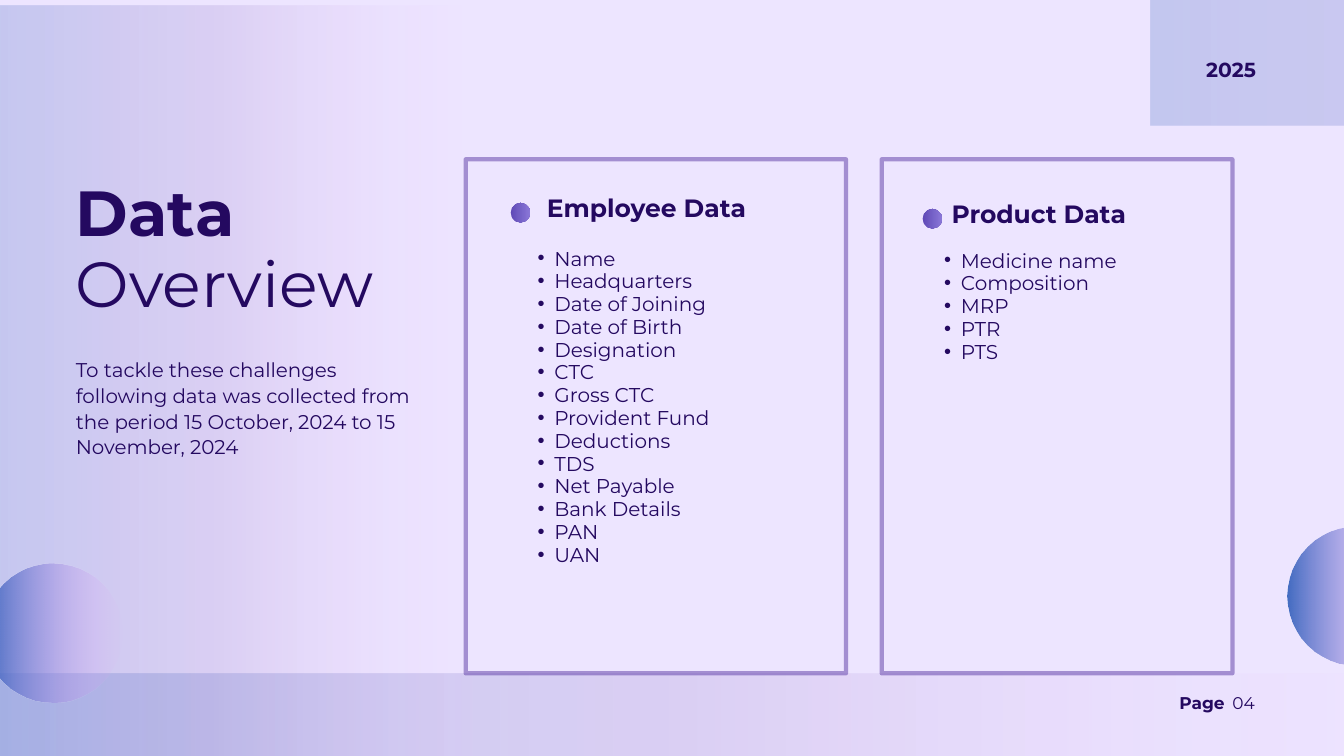
from lxml.etree import SubElement
from pptx import Presentation
from pptx.dml.color import RGBColor
from pptx.enum.shapes import MSO_SHAPE as Shape
from pptx.enum.text import MSO_ANCHOR as Anchor, MSO_AUTO_SIZE as AutoSize, PP_ALIGN as Align
from pptx.oxml.ns import qn
from pptx.util import Inches, Pt

FONT = "Montserrat"
COLORS = {
    "background": "EDE5FF",
    "text": "240960",
    "frame": "6B4CAF",
    "blue": "3C67BF",
    "pink": "F7ACFF",
    "dot_dark": "5B45B5",
    "dot_light": "8875D7",
}
PANEL_STOPS = [(0, "blue", 23), (50, "frame", 13), (100, "pink", 0)]
DOT_STOPS = [(0, "dot_dark", 96), (100, "dot_light", 96)]
BALL_STOPS = [(0, "blue", 96), (100, "pink", 0)]

EMPLOYEE_FIELDS = [
    "Name", "Headquarters", "Date of Joining", "Date of Birth", "Designation",
    "CTC", "Gross CTC", "Provident Fund", "Deductions", "TDS", "Net Payable",
    "Bank Details", "PAN", "UAN",
]
PRODUCT_FIELDS = ["Medicine name", "Composition", "MRP", "PTR", "PTS"]


def color(name):
    return RGBColor.from_string(COLORS[name])


def set_alpha(color_element, percent):
    SubElement(color_element, qn("a:alpha"), val=str(percent * 1000))


def add_gradient_shape(slide, kind, box, stops):
    shape = slide.shapes.add_shape(kind, *map(Inches, box))
    shape.shadow.inherit = False
    shape.line.fill.background()
    shape.fill.gradient()
    shape.fill.gradient_angle = 0
    stop_list = shape._element.spPr.find(qn("a:gradFill")).find(qn("a:gsLst"))
    for old_stop in list(stop_list):
        stop_list.remove(old_stop)
    for position, name, opacity in stops:
        stop = SubElement(stop_list, qn("a:gs"), pos=str(position * 1000))
        set_alpha(SubElement(stop, qn("a:srgbClr"), val=COLORS[name]), opacity)


def add_frame(slide, box):
    frame = slide.shapes.add_shape(Shape.RECTANGLE, *map(Inches, box))
    frame.shadow.inherit = False
    frame.fill.background()
    frame.line.color.rgb = color("frame")
    frame.line.width = Pt(4.5)
    set_alpha(next(frame._element.spPr.iter(qn("a:srgbClr"))), 57)


def add_bullet(paragraph):
    paragraph.level = 1
    properties = paragraph._p.get_or_add_pPr()
    properties.set("marL", str(Inches(0.51)))
    properties.set("indent", str(Inches(-0.25)))
    SubElement(properties, qn("a:buFont"), typeface="Arial")
    SubElement(properties, qn("a:buChar"), char="•")


def write_text(shape, lines, size, spacing, bold=False, bullets=False):
    frame = shape.text_frame
    frame.word_wrap = True
    frame.auto_size = AutoSize.SHAPE_TO_FIT_TEXT
    frame.vertical_anchor = Anchor.TOP
    frame.margin_left = frame.margin_top = frame.margin_right = frame.margin_bottom = 0
    for index, line in enumerate(lines):
        paragraph = frame.add_paragraph() if index else frame.paragraphs[0]
        paragraph.alignment = Align.LEFT
        paragraph.line_spacing = Pt(spacing)
        paragraph.space_before = Pt(0)
        if bullets:
            add_bullet(paragraph)
        run = paragraph.add_run()
        run.text = line
        run.font.name = FONT
        run.font.size = Pt(size)
        run.font.bold = bold
        run.font.color.rgb = color("text")


def add_text(slide, box, text, size, spacing, bold=False):
    shape = slide.shapes.add_textbox(*map(Inches, box))
    write_text(shape, [text], size, spacing, bold)


def add_title(slide, box, text):
    title = slide.shapes.title
    title.left, title.top, title.width, title.height = map(Inches, box)
    write_text(title, [text], 68.3, 54.7, bold=True)
    title._element.getparent().append(title._element)


def add_card(slide, frame_box, dot_at, heading_box, heading, list_box, fields):
    add_frame(slide, frame_box)
    field_list = slide.shapes.add_textbox(*map(Inches, list_box))
    write_text(field_list, fields, 21.4, 24.4, bullets=True)
    add_gradient_shape(slide, Shape.OVAL, (*dot_at, 0.29, 0.29), DOT_STOPS)
    add_text(slide, heading_box, heading, 26.8, 21.4, bold=True)


def main():
    presentation = Presentation()
    presentation.slide_width = Inches(20)
    presentation.slide_height = Inches(11.25)
    slide = presentation.slides.add_slide(presentation.slide_layouts[5])
    slide.background.fill.solid()
    slide.background.fill.fore_color.rgb = color("background")

    for box in [
        (-0.19, 0.09, 7.12, 11.16),
        (-0.15, 10.02, 21.35, 2.45),
        (17.12, -0.58, 21.35, 2.45),
    ]:
        add_gradient_shape(slide, Shape.RECTANGLE, box, PANEL_STOPS)

    add_title(slide, (1.13, 2.95, 8, 0.91), "Data")
    add_text(slide, (1.13, 4.01, 5.07, 1.66), "Overview", 68.3, 54.7)
    add_text(
        slide, (1.13, 5.3, 5.07, 1.54),
        "To tackle these challenges following data was collected from "
        "the period 15 October, 2024 to 15 November, 2024",
        21.3, 27.5,
    )
    add_text(slide, (17.95, 0.91, 0.93, 0.32), "2025", 21.8, 22.3, bold=True)
    add_text(slide, (17.55, 10.35, 0.79, 0.27), "Page", 18.2, 18.6, bold=True)
    add_text(slide, (18.34, 10.35, 0.39, 0.52), "04", 18.2, 18.6)

    add_card(
        slide, (6.93, 2.37, 5.66, 7.65), (7.6, 3.02),
        (8.14, 3.01, 4.4, 0.66), "Employee Data",
        (7.74, 3.68, 3.23, 5.01), EMPLOYEE_FIELDS,
    )
    add_card(
        slide, (13.12, 2.37, 5.22, 7.65), (13.73, 3.11),
        (14.16, 3.11, 3.14, 0.37), "Product Data",
        (13.79, 3.71, 3.23, 2.01), PRODUCT_FIELDS,
    )

    for left, top in [(-0.25, 8.38), (19.16, 7.83)]:
        add_gradient_shape(slide, Shape.OVAL, (left, top, 2.07, 2.07), BALL_STOPS)

    presentation.save("out.pptx")


if __name__ == "__main__":
    main()
